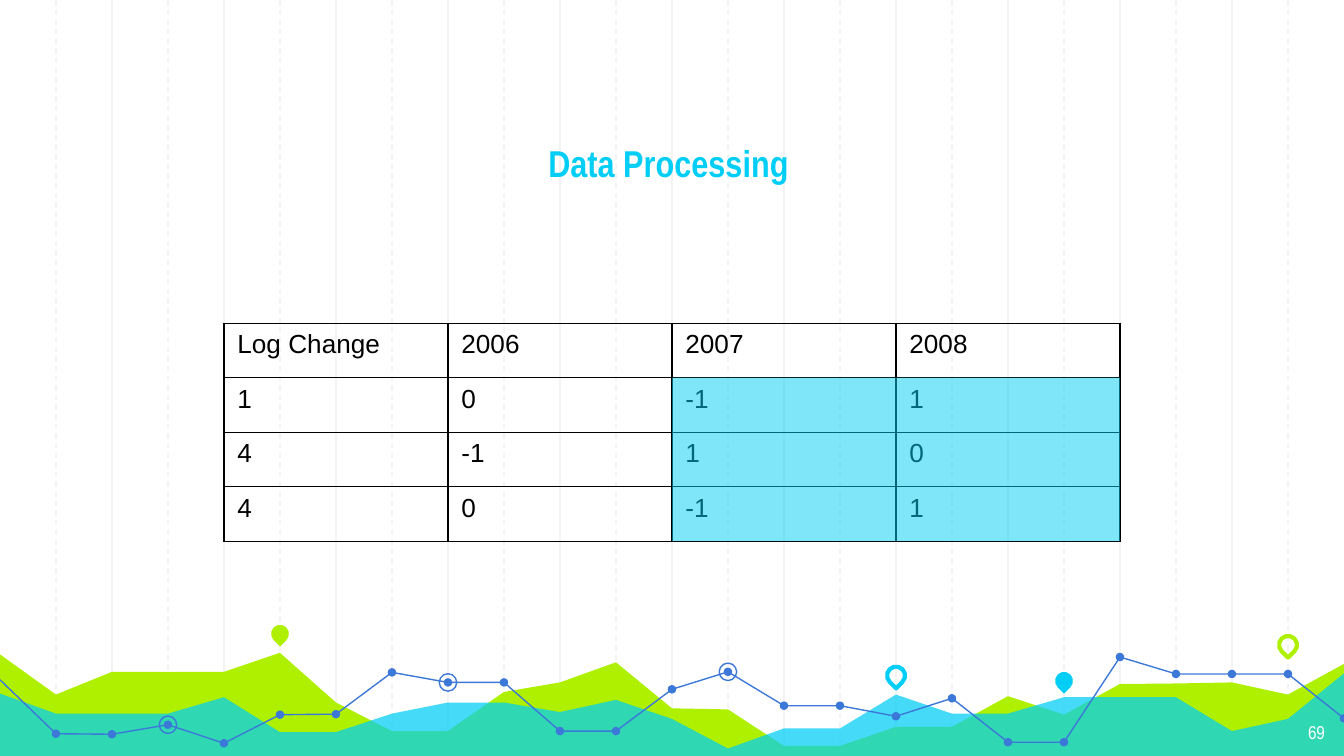
from lxml.etree import SubElement
from pptx import Presentation
from pptx.dml.color import RGBColor
from pptx.enum.dml import MSO_LINE
from pptx.enum.shapes import MSO_CONNECTOR, MSO_SHAPE
from pptx.enum.text import MSO_ANCHOR, PP_ALIGN
from pptx.oxml import parse_xml
from pptx.oxml.ns import nsdecls, qn
from pptx.util import Cm, Pt

WIDTH, HEIGHT = 25.4, 14.29
STEP = WIDTH / 24  # distance between grid lines
CYAN, LIME, BLUE, GREY = "00CEF6", "AFF000", "3C78D8", "F3F3F3"
BLACK, WHITE = "000000", "FFFFFF"

# Landscape: y in cm at each grid line, from the left edge to the right
LIME_RIDGE = [12.37, 13.13, 12.7, 12.7, 12.7, 12.34, 13.28, 13.82, 13.82,
              13.08, 12.9, 12.52, 13.39, 13.41, 14.1, 14.1, 13.74, 13.74,
              13.16, 13.51, 12.93, 12.92, 12.9, 13.13, 12.55]
CYAN_RIDGE = [13.11, 13.49, 13.49, 13.49, 13.18, 13.84, 13.84, 13.49, 13.28,
              13.28, 13.46, 13.23, 13.59, 14.15, 13.77, 13.77, 13.13, 13.49,
              13.49, 13.18, 13.18, 13.18, 13.82, 13.59, 12.73]
TREND = [12.85, 13.87, 13.88, 13.7, 14.05, 13.51, 13.5, 12.71, 12.9,
         12.9, 13.82, 13.82, 13.03, 12.7, 13.34, 13.34, 13.54, 13.2,
         14.03, 14.03, 12.42, 12.74, 12.74, 12.74, 13.58]
TREND_PARTS = [(0, 11), (11, 20), (20, 24)]
RINGED = [3, 8, 13]
# Grid line, centre y, colour, solid or outlined
PINS = [(5, 11.98, LIME, True), (16, 12.77, CYAN, False),
        (19, 12.87, CYAN, True), (23, 12.19, LIME, False)]

LOG_CHANGES = [["Log Change", "2006", "2007", "2008"],
               ["1", "0", "-1", "1"],
               ["4", "-1", "1", "0"],
               ["4", "0", "-1", "1"]]
TABLE_TOP, ROW_HEIGHT, COLUMN_WIDTH = 6.11, 1.03, 4 * STEP


def color(hex_code):
    return RGBColor.from_string(hex_code)


def paint(shape, fill=None, line=None, weight=0.75, opacity=100):
    """Give a shape its fill, outline and opacity, without a shadow."""
    shape.shadow.inherit = False
    if fill:
        shape.fill.solid()
        shape.fill.fore_color.rgb = color(fill)
        if opacity < 100:
            fill_color = shape.fill._xPr.find(qn("a:solidFill"))[0]
            SubElement(fill_color, qn("a:alpha"), val=str(opacity * 1000))
    else:
        shape.fill.background()
    if line:
        shape.line.color.rgb = color(line)
        shape.line.width = Pt(weight)
    else:
        shape.line.fill.background()


def style_text(paragraph, size, font_name, hex_code, bold=False, align=PP_ALIGN.LEFT):
    paragraph.alignment = align
    font = paragraph.font
    font.size, font.name, font.bold = Pt(size), font_name, bold
    font.color.rgb = color(hex_code)


def set_insets(frame, inset):
    frame.margin_left = frame.margin_right = inset
    frame.margin_top = frame.margin_bottom = inset


def add_grid_line(slide, index):
    x = Cm(index * STEP)
    grid_line = slide.shapes.add_connector(MSO_CONNECTOR.STRAIGHT, x, 0, x, Cm(HEIGHT))
    grid_line.line.color.rgb = color(GREY)
    grid_line.line.width = Pt(0.75)
    if index % 2:
        grid_line.line.dash_style = MSO_LINE.DASH
    SubElement(grid_line._element.spPr, qn("a:effectLst"))


def add_outline(slide, points, close):
    corners = [(Cm(index * STEP), Cm(y)) for index, y in points]
    builder = slide.shapes.build_freeform(*corners[0])
    builder.add_line_segments(corners[1:], close=close)
    return builder.convert_to_shape()


def add_hills(slide, ridge, fill, opacity=100):
    points = [*enumerate(ridge), (24, HEIGHT), (0, HEIGHT)]
    paint(add_outline(slide, points, close=True), fill=fill, opacity=opacity)


def add_centred(slide, kind, index, y, size):
    return slide.shapes.add_shape(kind, Cm(index * STEP - size / 2), Cm(y - size / 2),
                                  Cm(size), Cm(size))


def add_pin(slide, index, y, hex_code, solid):
    pin = add_centred(slide, MSO_SHAPE.TEAR, index, y, 0.34)
    pin.adjustments[0] = 1
    pin.rotation = 135
    if solid:
        paint(pin, fill=hex_code)
    else:
        paint(pin, line=hex_code, weight=2.25)


def add_trend(slide):
    points = list(enumerate(TREND))
    for first, last in TREND_PARTS:
        paint(add_outline(slide, points[first:last + 1], close=False), line=BLUE)
    for index, y in points[1:]:
        paint(add_centred(slide, MSO_SHAPE.OVAL, index, y, 0.16), fill=BLUE)
    for index in RINGED:
        paint(add_centred(slide, MSO_SHAPE.OVAL, index, TREND[index], 0.33), line=BLUE)


def add_title(slide, wording):
    title = slide.shapes.title
    # Bring the placeholder in front of the grid lines
    slide.shapes._spTree.append(title._element)
    title.left, title.top, title.width, title.height = Cm(2.92), Cm(1.76), Cm(19.43), Cm(1.98)
    frame = title.text_frame
    frame.text = wording
    frame.vertical_anchor = MSO_ANCHOR.BOTTOM
    set_insets(frame, Cm(0.25))
    style_text(frame.paragraphs[0], 20, "Arial Narrow", CYAN, True, PP_ALIGN.CENTER)


def add_page_number(slide, number):
    frame = slide.shapes.add_textbox(Cm(23.77), Cm(13.42), Cm(1.52), Cm(0.87)).text_frame
    frame.word_wrap = True
    set_insets(frame, Cm(0.25))
    frame.text = number
    style_text(frame.paragraphs[0], 10, "Arial Narrow", WHITE, align=PP_ALIGN.RIGHT)


def add_borders(cell):
    properties = cell._tc.get_or_add_tcPr()
    for side in "LRTB":
        properties.append(parse_xml(
            f'<a:ln{side} {nsdecls("a")} w="{Pt(0.75)}"><a:solidFill>'
            f'<a:srgbClr val="{BLACK}"/></a:solidFill></a:ln{side}>'))


def add_log_table(slide):
    rows, columns = len(LOG_CHANGES), len(LOG_CHANGES[0])
    table = slide.shapes.add_table(rows, columns, Cm(4 * STEP), Cm(TABLE_TOP),
                                   Cm(columns * COLUMN_WIDTH), Cm(rows * ROW_HEIGHT)).table
    table.first_row = table.horz_banding = False
    for row, values in enumerate(LOG_CHANGES):
        for column, value in enumerate(values):
            cell = table.cell(row, column)
            cell.text = value
            style_text(cell.text_frame.paragraphs[0], 14, "Arial", BLACK)
            add_borders(cell)
            cell.fill.background()


def add_highlight(slide):
    """Tint the values of the last two years."""
    highlight = slide.shapes.add_shape(
        MSO_SHAPE.RECTANGLE, Cm(12 * STEP), Cm(TABLE_TOP + ROW_HEIGHT),
        Cm(2 * COLUMN_WIDTH), Cm(3 * ROW_HEIGHT))
    paint(highlight, fill=CYAN, opacity=50)


def main():
    deck = Presentation()
    deck.slide_width, deck.slide_height = Cm(WIDTH), Cm(HEIGHT)
    slide = deck.slides.add_slide(deck.slide_layouts[5])

    # Background grid: solid lines, then dashed ones
    for index in [*range(2, 24, 2), *range(1, 24, 2)]:
        add_grid_line(slide, index)

    # Landscape along the bottom
    add_hills(slide, LIME_RIDGE, LIME)
    add_hills(slide, CYAN_RIDGE, CYAN, opacity=73)
    for pin in PINS:
        add_pin(slide, *pin)
    add_trend(slide)

    # Content
    add_title(slide, "Data Processing")
    add_page_number(slide, "69")
    add_log_table(slide)
    add_highlight(slide)
    deck.save("out.pptx")


if __name__ == "__main__":
    main()
